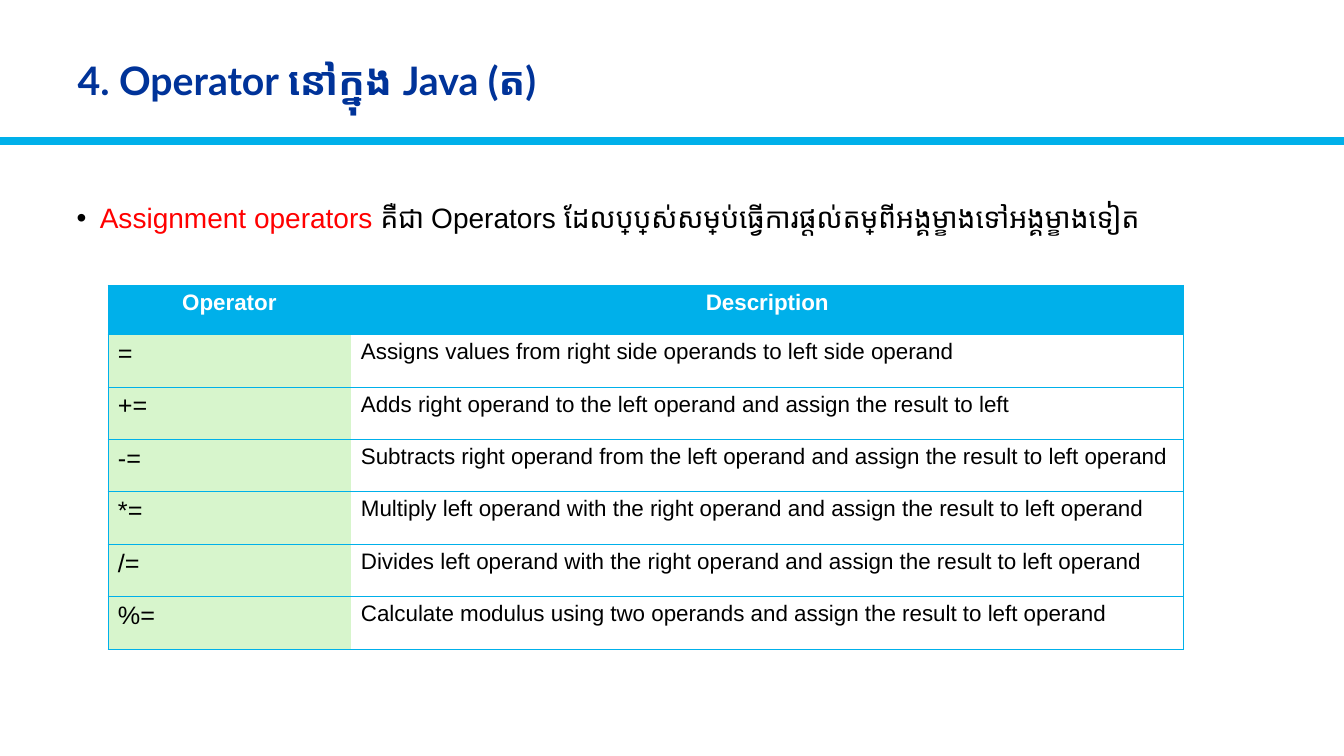
from dataclasses import dataclass

from lxml.etree import SubElement
from pptx import Presentation
from pptx.dml.color import RGBColor
from pptx.enum.shapes import MSO_CONNECTOR as Connector
from pptx.enum.text import MSO_ANCHOR as Anchor, MSO_AUTO_SIZE as AutoSize, PP_ALIGN as Align
from pptx.oxml import parse_xml
from pptx.oxml.ns import nsdecls, qn
from pptx.util import Pt

EMU_PER_PX = 9144  # 100 px to the inch


@dataclass(frozen=True)
class Theme:
    heading_font: str = "Lato"
    body_font: str = "Arial"
    navy: str = "003399"
    cyan: str = "00B0EA"
    green: str = "D7F5CC"
    red: str = "FF0000"
    black: str = "000000"
    white: str = "FFFFFF"
    title_size: int = 28
    body_size: int = 20
    symbol_size: int = 18
    table_size: int = 16
    rule_width: int = 6
    border_width: float = 0.5


@dataclass(frozen=True)
class Box:
    left: int
    top: int
    width: int
    height: int


@dataclass(frozen=True)
class Operator:
    symbol: str
    description: str


THEME = Theme()
SLIDE_WIDTH, SLIDE_HEIGHT = 1333, 750
TITLE_BOX = Box(67, 14, 1202, 136)
BODY_BOX = Box(66, 194, 1205, 506)
TABLE_BOX = Box(107, 283, 1067, 361)
RULE_TOP = 140
BULLET_INDENT = 23
COLUMN_WIDTHS = (241, 826)
HEADER_HEIGHT, ROW_HEIGHT = 49, 52

OPERATORS = (
    Operator("=", "Assigns values from right side operands to left side operand"),
    Operator("+=", "Adds right operand to the left operand and assign the result to left"),
    Operator("-=", "Subtracts right operand from the left operand and assign the result to left operand"),
    Operator("*=", "Multiply left operand with the right operand and assign the result to left operand"),
    Operator("/=", "Divides left operand with the right operand and assign the result to left operand"),
    Operator("%=", "Calculate modulus using two operands and assign the result to left operand"),
)


def px(length: int) -> int:
    return length * EMU_PER_PX


def place(shape, box: Box) -> None:
    shape.left, shape.top = px(box.left), px(box.top)
    shape.width, shape.height = px(box.width), px(box.height)


def style_font(font, size: int, color: str, bold: bool = False, name: str = THEME.body_font) -> None:
    font.name, font.size, font.bold = name, Pt(size), bold
    font.color.rgb = RGBColor.from_string(color)


def add_title(slide) -> None:
    title = slide.shapes.title
    place(title, TITLE_BOX)
    frame = title.text_frame
    frame.text = "4. Operator នៅក្នុង Java (ត)"
    frame.auto_size = AutoSize.NONE
    frame.vertical_anchor = Anchor.MIDDLE
    paragraph = frame.paragraphs[0]
    paragraph.alignment = Align.LEFT
    paragraph.line_spacing = 0.9
    style_font(paragraph.runs[0].font, THEME.title_size, THEME.navy, True, THEME.heading_font)


def add_bullet(paragraph) -> None:
    properties = paragraph._p.get_or_add_pPr()
    properties.set("marL", str(px(BULLET_INDENT)))
    properties.set("indent", str(-px(BULLET_INDENT)))
    color = SubElement(properties, qn("a:buClr"))
    SubElement(color, qn("a:srgbClr"), val=THEME.black)
    SubElement(properties, qn("a:buFont"), typeface=THEME.body_font)
    SubElement(properties, qn("a:buChar"), char="•")


def add_definition(slide) -> None:
    body = slide.placeholders[1]
    place(body, BODY_BOX)
    body.text_frame.auto_size = AutoSize.NONE
    paragraph = body.text_frame.paragraphs[0]
    add_bullet(paragraph)
    paragraph.space_before = Pt(0)
    for text, color in (
        ("Assignment operators ", THEME.red),
        ("គឺជា Operators ដែលប្រើប្រាស់សម្រាប់ធ្វើការផ្ដល់តម្លៃពីអង្គម្ខាងទៅអង្គម្ខាងទៀត", THEME.black),
    ):
        run = paragraph.add_run()
        run.text = text
        style_font(run.font, THEME.body_size, color)


def add_rule(slide) -> None:
    rule = slide.shapes.add_connector(
        Connector.STRAIGHT, 0, px(RULE_TOP), px(SLIDE_WIDTH), px(RULE_TOP))
    rule.line.color.rgb = RGBColor.from_string(THEME.cyan)
    rule.line.width = Pt(THEME.rule_width)
    SubElement(rule._element.spPr, qn("a:effectLst"))


def set_borders(cell, drawn_sides: str) -> None:
    """Draw the sides named by the letters L, R, T and B and clear the others."""
    properties = cell._tc.get_or_add_tcPr()
    for index, side in enumerate("LRTB"):
        fill = "<a:noFill/>"
        if side in drawn_sides:
            fill = f'<a:solidFill><a:srgbClr val="{THEME.cyan}"/></a:solidFill>'
        border = parse_xml(
            f'<a:ln{side} {nsdecls("a")} w="{Pt(THEME.border_width)}">{fill}</a:ln{side}>')
        properties.insert(index, border)


def fill_cell(cell, text: str, fill: str, size: int, color: str, header: bool) -> None:
    cell.text_frame.text = text
    paragraph = cell.text_frame.paragraphs[0]
    paragraph.alignment = Align.CENTER if header else Align.LEFT
    style_font(paragraph.runs[0].font, size, color, header)
    cell.fill.solid()
    cell.fill.fore_color.rgb = RGBColor.from_string(fill)


def add_operator_table(slide) -> None:
    rows = (Operator("Operator", "Description"), *OPERATORS)
    frame = slide.shapes.add_table(
        len(rows), len(COLUMN_WIDTHS), px(TABLE_BOX.left), px(TABLE_BOX.top),
        px(TABLE_BOX.width), px(TABLE_BOX.height))
    table = frame.table
    table.first_row = table.horz_banding = False
    for column, width in zip(table.columns, COLUMN_WIDTHS):
        column.width = px(width)
    for index, operator in enumerate(rows):
        header = index == 0
        table.rows[index].height = px(HEADER_HEIGHT if header else ROW_HEIGHT)
        symbol, description = table.cell(index, 0), table.cell(index, 1)
        if header:
            symbol_style = text_style = (THEME.cyan, THEME.table_size, THEME.white)
        else:
            symbol_style = (THEME.green, THEME.symbol_size, THEME.black)
            text_style = (THEME.white, THEME.table_size, THEME.black)
        fill_cell(symbol, operator.symbol, *symbol_style, header)
        fill_cell(description, operator.description, *text_style, header)
        set_borders(symbol, "LTB")
        set_borders(description, "RTB")


def main() -> None:
    presentation = Presentation()
    presentation.slide_width = px(SLIDE_WIDTH)
    presentation.slide_height = px(SLIDE_HEIGHT)
    slide = presentation.slides.add_slide(presentation.slide_layouts[1])
    add_rule(slide)
    add_definition(slide)
    add_title(slide)
    add_operator_table(slide)
    presentation.save("out.pptx")


if __name__ == "__main__":
    main()
